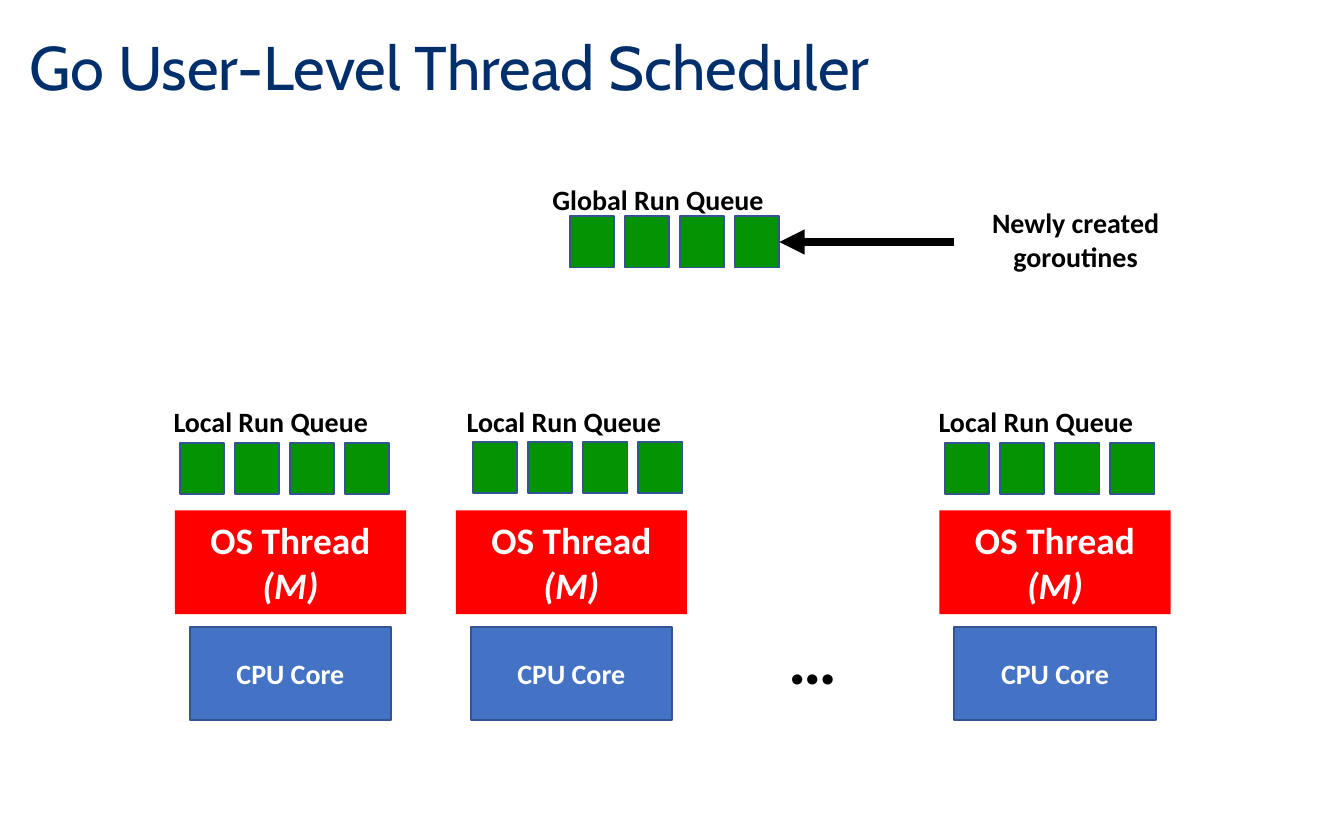
from lxml import etree
from pptx import Presentation
from pptx.dml.color import RGBColor
from pptx.enum.shapes import MSO_CONNECTOR, MSO_SHAPE
from pptx.enum.text import MSO_ANCHOR, MSO_AUTO_SIZE, PP_ALIGN
from pptx.oxml.ns import qn
from pptx.util import Cm, Pt

RECTANGLE = MSO_SHAPE.RECTANGLE
STRAIGHT = MSO_CONNECTOR.STRAIGHT
TOP, MIDDLE = MSO_ANCHOR.TOP, MSO_ANCHOR.MIDDLE
LEFT, CENTER = PP_ALIGN.LEFT, PP_ALIGN.CENTER
GROW = MSO_AUTO_SIZE.SHAPE_TO_FIT_TEXT
RIGHT_SIDE = 3

NAVY = RGBColor(0x00, 0x2F, 0x6C)
BLUE = RGBColor(0x44, 0x72, 0xC4)
DARK_BLUE = RGBColor(0x32, 0x54, 0x91)
RED = RGBColor(0xFF, 0x00, 0x00)
GREEN = RGBColor(0x03, 0x92, 0x02)
BLACK = RGBColor(0x00, 0x00, 0x00)
WHITE = RGBColor(0xFF, 0xFF, 0xFF)

# Content; all lengths in cm
TITLE = "Go User-Level Thread Scheduler"
CORE = [("CPU Core", False)]
THREAD = [("OS Thread ", False), ("(M)", True)]
NEW_GOROUTINES = [("Newly created goroutines", False)]
MORE_CORES = [("…", False)]
CORE_CENTERS = [5.49, 10.8, 19.94]
# label, left and top of first goroutine, label offset x and y, label width
LOCAL_QUEUES = [
    ("Local Run Queue", 3.4, 8.37, -0.37, -0.84, 4.9),
    ("Local Run Queue", 8.94, 8.36, -0.37, -0.84, 4.9),
    ("Local Run Queue", 17.86, 8.37, -0.37, -0.84, 4.9),
]
GLOBAL_QUEUE = ("Global Run Queue", 10.77, 4.09, -0.58, -0.77, 5.33)

CORE_TOP, CORE_W, CORE_H = 11.86, 3.81, 1.75
THREAD_TOP, THREAD_W, THREAD_H = 9.65, 4.37, 1.96
QUEUE_LENGTH, TASK_PITCH, TASK_W, TASK_H = 4, 1.04, 0.84, 0.97
LABEL_H = 0.89
ARROW_START = 18.03


def write(shape, runs, size, color, align=CENTER, anchor=TOP):
    """Fill a shape with bold runs given as (text, italic)."""
    frame = shape.text_frame
    frame.word_wrap = True
    frame.vertical_anchor = anchor
    paragraph = frame.paragraphs[0]
    paragraph.alignment = align
    for text, italic in runs:
        run = paragraph.add_run()
        run.text = text
        font = run.font
        font.name, font.size, font.bold = "Calibri", Pt(size), True
        font.italic = italic
        font.color.rgb = color


def add_box(shapes, left, top, width, height, fill, outline=None):
    box = shapes.add_shape(RECTANGLE, Cm(left), Cm(top), Cm(width), Cm(height))
    box.shadow.inherit = False
    box.fill.solid()
    box.fill.fore_color.rgb = fill
    if outline is None:
        box.line.fill.background()
    else:
        box.line.color.rgb = outline
        box.line.width = Pt(1)
    return box


def add_label(shapes, left, top, width, height, runs, size=15, align=CENTER):
    label = shapes.add_textbox(Cm(left), Cm(top), Cm(width), Cm(height))
    write(label, runs, size, BLACK, align)
    label.text_frame.auto_size = GROW


def add_queue(slide, name, left, top, label_dx, label_dy, label_w):
    """Group a row of goroutines with its label; return the last goroutine."""
    shapes = slide.shapes.add_group_shape().shapes
    for i in range(QUEUE_LENGTH):
        task = add_box(shapes, left + i * TASK_PITCH, top, TASK_W, TASK_H,
                       GREEN, DARK_BLUE)
    add_label(shapes, left + label_dx, top + label_dy, label_w, LABEL_H,
              [(name, False)], align=LEFT)
    return task


def add_arrow_to(slide, task):
    y = task.top + task.height // 2
    arrow = slide.shapes.add_connector(STRAIGHT, Cm(ARROW_START), y,
                                       task.left + task.width, y)
    arrow.end_connect(task, RIGHT_SIDE)
    arrow.line.color.rgb = BLACK
    arrow.line.width = Pt(4.5)
    etree.SubElement(arrow.line._get_or_add_ln(), qn("a:tailEnd"), type="triangle")
    etree.SubElement(arrow._element.spPr, qn("a:effectLst"))


def add_title(slide):
    title = slide.shapes.title
    title.left, title.top = Cm(0.3), Cm(0.25)
    title.width, title.height = Cm(21.64), Cm(2.18)
    title.text_frame.vertical_anchor = MIDDLE
    paragraph = title.text_frame.paragraphs[0]
    paragraph.alignment = LEFT
    paragraph.line_spacing = 0.9
    run = paragraph.add_run()
    run.text = TITLE
    run.font.name, run.font.size = "Cabin", Pt(33)
    run.font.color.rgb = NAVY


def main():
    prs = Presentation()
    prs.slide_width, prs.slide_height = Cm(25.4), Cm(15.88)
    slide = prs.slides.add_slide(prs.slide_layouts[5])
    shapes = slide.shapes
    add_title(slide)

    for center in CORE_CENTERS:
        core = add_box(shapes, center - CORE_W / 2, CORE_TOP, CORE_W, CORE_H,
                       BLUE, DARK_BLUE)
        write(core, CORE, 15, WHITE, anchor=MIDDLE)
        thread = add_box(shapes, center - THREAD_W / 2, THREAD_TOP,
                         THREAD_W, THREAD_H, RED)
        write(thread, THREAD, 20, WHITE)
        thread.text_frame.auto_size = GROW
    add_label(shapes, 13.82, 11.53, 3.1, 1.83, MORE_CORES, size=36.7)

    for queue in LOCAL_QUEUES:
        add_queue(slide, *queue)
    last_task = add_queue(slide, *GLOBAL_QUEUE)
    add_arrow_to(slide, last_task)
    add_label(shapes, 18.26, 3.76, 4.14, 1.55, NEW_GOROUTINES)

    prs.save("out.pptx")


if __name__ == "__main__":
    main()
